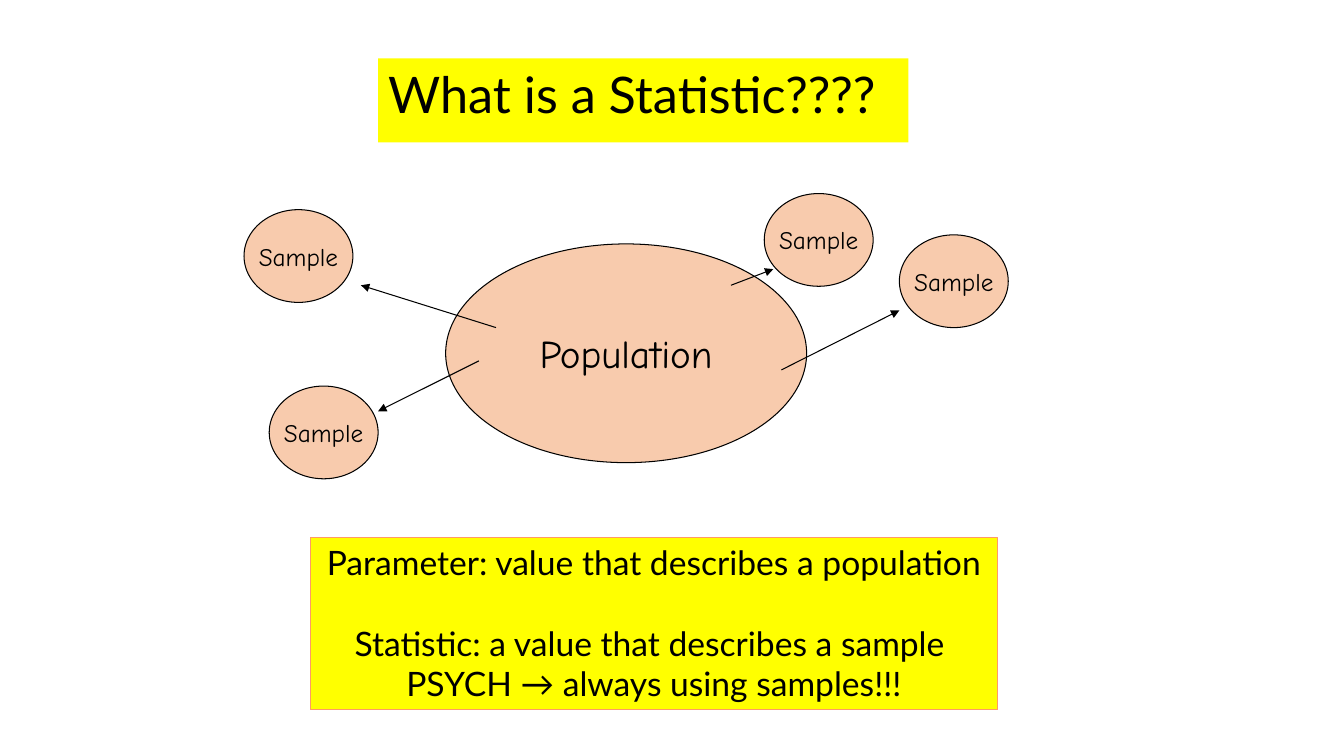
import dataclasses

import pptx
import pptx.dml.color
import pptx.enum.shapes
import pptx.enum.text
import pptx.oxml
import pptx.oxml.ns
import pptx.util

Inches = pptx.util.Inches
Pt = pptx.util.Pt
Align = pptx.enum.text.PP_ALIGN
Anchor = pptx.enum.text.MSO_ANCHOR
Fit = pptx.enum.text.MSO_AUTO_SIZE


@dataclasses.dataclass(frozen=True)
class Theme:
    ink: str = "000000"
    mark: str = "FFFF00"
    peach: str = "F8CBAD"
    edge: str = "FF9966"
    sans: str = "Lato"
    hand: str = "Comic Neue"
    title: int = 36
    main: int = 28
    body: int = 24
    small: int = 18
    rule: float = 0.75


THEME = Theme()


def color(code):
    return pptx.dml.color.RGBColor.from_string(code)


def paint(shape, fill, line):
    shape.fill.solid()
    shape.fill.fore_color.rgb = color(fill)
    shape.line.color.rgb = color(line)
    shape.line.width = Pt(THEME.rule)


def write(para, text, font, size, align):
    para.alignment = align
    run = para.add_run()
    run.text = text
    run.font.name = font
    run.font.size = Pt(size)
    run.font.color.rgb = color(THEME.ink)


def setup(frame, anchor, fit):
    frame.word_wrap = False
    frame.auto_size = fit
    frame.vertical_anchor = anchor


def heading(slide, left, top, width, height):
    title = slide.shapes.title
    title.left, title.top = Inches(left), Inches(top)
    title.width, title.height = Inches(width), Inches(height)
    title.fill.solid()
    title.fill.fore_color.rgb = color(THEME.mark)
    setup(title.text_frame, Anchor.TOP, Fit.SHAPE_TO_FIT_TEXT)
    write(title.text_frame.paragraphs[0], "What is a Statistic????",
          THEME.sans, THEME.title, Align.LEFT)


def bubble(slide, text, size, left, top, width, height):
    oval = slide.shapes.add_shape(
        pptx.enum.shapes.MSO_SHAPE.OVAL,
        Inches(left), Inches(top), Inches(width), Inches(height))
    oval.shadow.inherit = False
    paint(oval, THEME.peach, THEME.ink)
    setup(oval.text_frame, Anchor.MIDDLE, Fit.NONE)
    write(oval.text_frame.paragraphs[0], text, THEME.hand, size, Align.CENTER)


def arrow(slide, start, end):
    line = slide.shapes.add_connector(
        pptx.enum.shapes.MSO_CONNECTOR.STRAIGHT,
        *[Inches(value) for value in start + end])
    line.line.color.rgb = color(THEME.ink)
    line.line.width = Pt(THEME.rule)
    tip = pptx.oxml.parse_xml(
        f'<a:tailEnd {pptx.oxml.ns.nsdecls("a")} type="triangle"/>')
    line.line._get_or_add_ln().append(tip)
    props = line._element.spPr
    props.append(pptx.oxml.parse_xml(
        f'<a:effectLst {pptx.oxml.ns.nsdecls("a")}/>'))


def diagram(slide, left, top):
    """Draw the population with samples taken from it; offsets are from the corner."""
    bubble(slide, "Population", THEME.main, left + 2, top + 0.5, 3.58, 2.17)
    samples = [
        ((0.25, 1.91), (2.33, 1.66), (1.33, 2.16)),
        ((5.16, 0), (4.83, 0.91), (5.25, 0.75)),
        ((6.5, 0.41), (5.33, 1.75), (6.5, 1.16)),
        ((0, 0.16), (2.5, 1.33), (1.16, 0.91)),
    ]
    for (x, y), _, _ in samples:
        bubble(slide, "Sample", THEME.small, left + x, top + y, 1.08, 0.92)
    for _, start, end in samples:
        arrow(slide, (left + start[0], top + start[1]),
              (left + end[0], top + end[1]))


def terms(slide, left, top, width, height):
    box = slide.shapes.add_textbox(
        Inches(left), Inches(top), Inches(width), Inches(height))
    paint(box, THEME.mark, THEME.edge)
    frame = box.text_frame
    setup(frame, Anchor.TOP, Fit.SHAPE_TO_FIT_TEXT)
    lines = [
        ("Parameter: value that describes a population", 0),
        ("Statistic: a value that describes a sample ", THEME.body * 1.2),
        ("PSYCH → always using samples!!!", 0),
    ]
    for index, (text, gap) in enumerate(lines):
        para = frame.add_paragraph() if index else frame.paragraphs[0]
        para.space_before = Pt(gap)
        write(para, text, THEME.sans, THEME.body, Align.CENTER)


def main():
    deck = pptx.Presentation()
    deck.slide_width, deck.slide_height = Inches(13.33), Inches(7.5)
    slide = deck.slides.add_slide(deck.slide_layouts.get_by_name("Title Only"))
    heading(slide, 3.75, 0.58, 5.26, 0.7)
    diagram(slide, 2.42, 1.92)
    terms(slide, 3.08, 5.33, 6.81, 1.71)
    deck.save("out.pptx")


if __name__ == "__main__":
    main()
